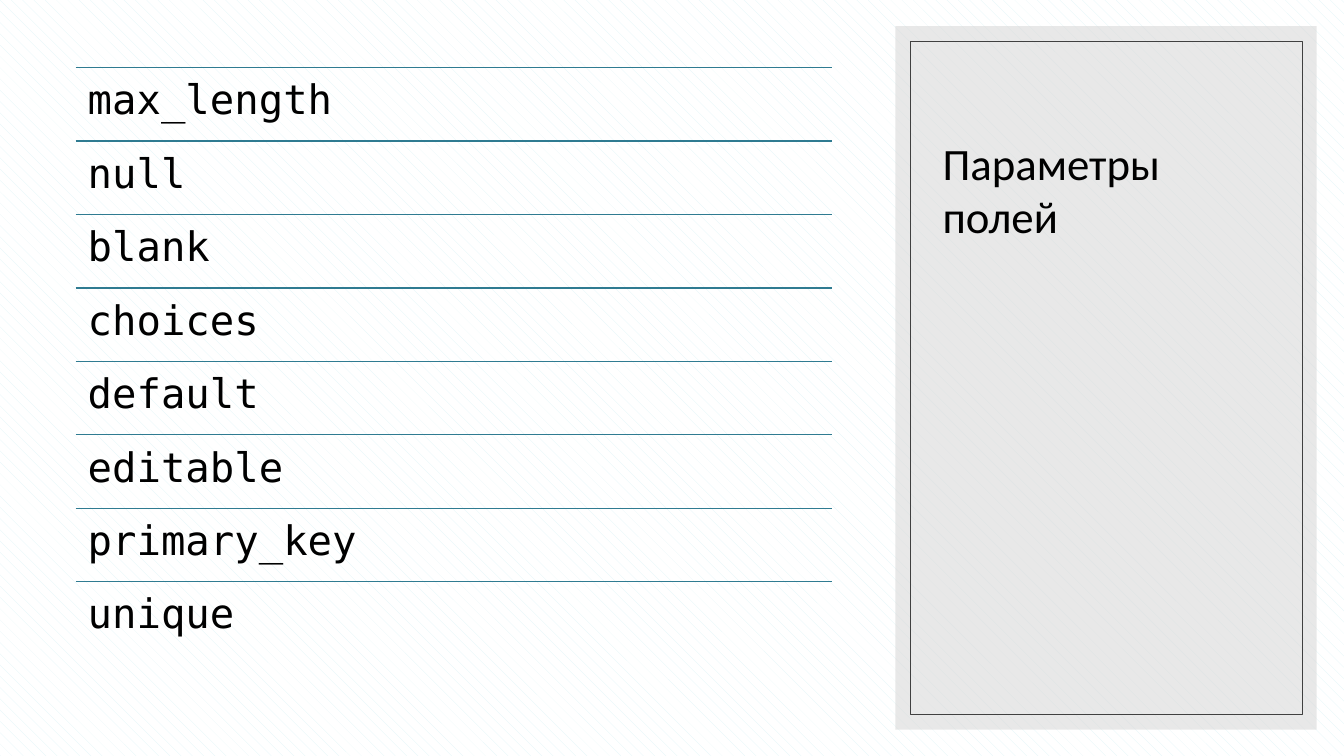
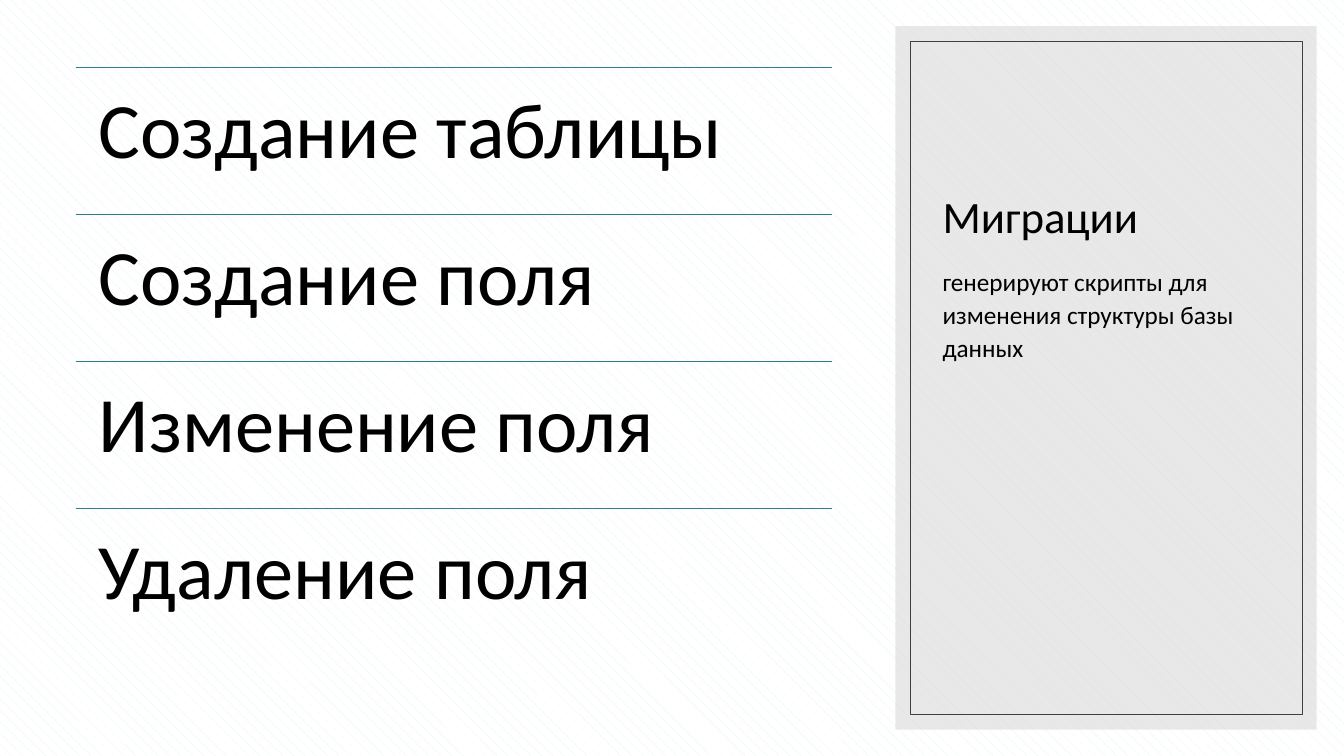
from dataclasses import dataclass

from lxml.etree import SubElement
from pptx import Presentation
from pptx.dml.color import RGBColor
from pptx.enum.dml import MSO_PATTERN
from pptx.enum.shapes import MSO_CONNECTOR, MSO_SHAPE
from pptx.enum.text import MSO_ANCHOR
from pptx.oxml.ns import qn
from pptx.slide import Slide
from pptx.util import Inches, Pt

COLOURS = {
    "paper": "FFFFFF",
    "hatch": "DEF4F7",
    "panel": "D9D9D9",
    "frame": "404040",
    "rule": "2F7B91",
    "text": "000000",
}
BODY_FONT, CODE_FONT = "Calibri", "DejaVu Sans Mono"
PANEL_OPACITY = 60
LIST_LEFT, LIST_TOP, LIST_WIDTH, LIST_HEIGHT = 0.75, 0.67, 7.5, 5.83


@dataclass(frozen=True)
class Box:
    """A rectangle in inches."""
    left: float
    top: float
    width: float
    height: float

    def lengths(self) -> list[Inches]:
        """Return the four measures as slide lengths."""
        return [Inches(n) for n in (self.left, self.top, self.width, self.height)]


@dataclass(frozen=True)
class TextStyle:
    """Font, paragraph spacing, insets and anchor of a text."""
    size: float
    font: str = BODY_FONT
    line_spacing: float = 1.0
    space_before: float = 0
    inset_x: float = 0.1
    inset_y: float = 0.05
    anchor: MSO_ANCHOR = MSO_ANCHOR.TOP


@dataclass(frozen=True)
class Topic:
    """One slide: a ruled list and a titled side panel."""
    title: str
    items: tuple[str, ...]
    item_style: TextStyle
    summary: str = ""


PANEL = Box(8.88, 0.26, 4.18, 6.98)
FRAME = Box(9.03, 0.41, 3.89, 6.68)
TITLE = Box(9.25, 0.66, 3.46, 1.8)
SUMMARY = Box(9.25, 2.56, 3.46, 3.94)
TITLE_STYLE = TextStyle(32, anchor=MSO_ANCHOR.BOTTOM)
SUMMARY_STYLE = TextStyle(18, line_spacing=1.1, space_before=8)
CODE_STYLE = TextStyle(29, CODE_FONT, 0.9, inset_x=0.12, inset_y=0.12)
STEP_STYLE = TextStyle(56, line_spacing=0.9, inset_x=0.23, inset_y=0.23)

TOPICS = (
    Topic(
        "Параметры полей",
        ("max_length", "null", "blank", "choices",
         "default", "editable", "primary_key", "unique"),
        CODE_STYLE,
    ),
    Topic(
        "Миграции",
        ("Создание таблицы", "Создание поля", "Изменение поля", "Удаление поля"),
        STEP_STYLE,
        "генерируют скрипты для изменения структуры базы данных",
    ),
)


def colour(role: str) -> RGBColor:
    """Look up a palette colour."""
    return RGBColor.from_string(COLOURS[role])


def add_text(slide: Slide, box: Box, text: str, style: TextStyle) -> None:
    """Place one wrapped paragraph in a text box."""
    frame = slide.shapes.add_textbox(*box.lengths()).text_frame
    frame.word_wrap = True
    frame.vertical_anchor = style.anchor
    frame.margin_left = frame.margin_right = Inches(style.inset_x)
    frame.margin_top = frame.margin_bottom = Inches(style.inset_y)
    frame.text = text
    paragraph = frame.paragraphs[0]
    paragraph.line_spacing = style.line_spacing
    paragraph.space_before = Pt(style.space_before)
    font = paragraph.runs[0].font
    font.name, font.size = style.font, Pt(style.size)
    font.color.rgb = colour("text")


def add_panel(slide: Slide) -> None:
    """Draw the translucent side panel and its thin inner frame."""
    panel = slide.shapes.add_shape(MSO_SHAPE.RECTANGLE, *PANEL.lengths())
    panel.shadow.inherit = False
    panel.fill.solid()
    panel.fill.fore_color.rgb = colour("panel")
    tint = panel.fill._xPr.find(qn("a:solidFill"))[0]
    SubElement(tint, qn("a:alpha"), val=str(PANEL_OPACITY * 1000))
    panel.line.fill.background()

    frame = slide.shapes.add_shape(MSO_SHAPE.RECTANGLE, *FRAME.lengths())
    frame.shadow.inherit = False
    frame.fill.background()
    frame.line.color.rgb = colour("frame")
    frame.line.width = Pt(0.5)


def add_rule(slide: Slide, top: float) -> None:
    """Draw a horizontal rule across the list."""
    left, right, y = Inches(LIST_LEFT), Inches(LIST_LEFT + LIST_WIDTH), Inches(top)
    rule = slide.shapes.add_connector(MSO_CONNECTOR.STRAIGHT, left, y, right, y)
    rule.line.color.rgb = colour("rule")
    rule.line.width = Pt(1)
    SubElement(rule._element.spPr, qn("a:effectLst"))


def add_ruled_list(slide: Slide, items: tuple[str, ...], style: TextStyle) -> None:
    """Share the list height equally among the items, each under a rule."""
    row_height = LIST_HEIGHT / len(items)
    for index, item in enumerate(items):
        top = LIST_TOP + index * row_height
        add_rule(slide, top)
        add_text(slide, Box(LIST_LEFT, top, LIST_WIDTH, row_height), item, style)


def main() -> None:
    """Build and save the presentation."""
    deck = Presentation()
    deck.slide_width, deck.slide_height = Inches(13.33), Inches(7.5)
    backdrop = deck.slide_master.background.fill
    backdrop.patterned()
    backdrop.pattern = MSO_PATTERN.SHINGLE
    backdrop.fore_color.rgb = colour("hatch")
    backdrop.back_color.rgb = colour("paper")

    for topic in TOPICS:
        slide = deck.slides.add_slide(deck.slide_layouts[6])
        add_panel(slide)
        add_text(slide, TITLE, topic.title, TITLE_STYLE)
        if topic.summary:
            add_text(slide, SUMMARY, topic.summary, SUMMARY_STYLE)
        add_ruled_list(slide, topic.items, topic.item_style)
    deck.save("out.pptx")


main()
